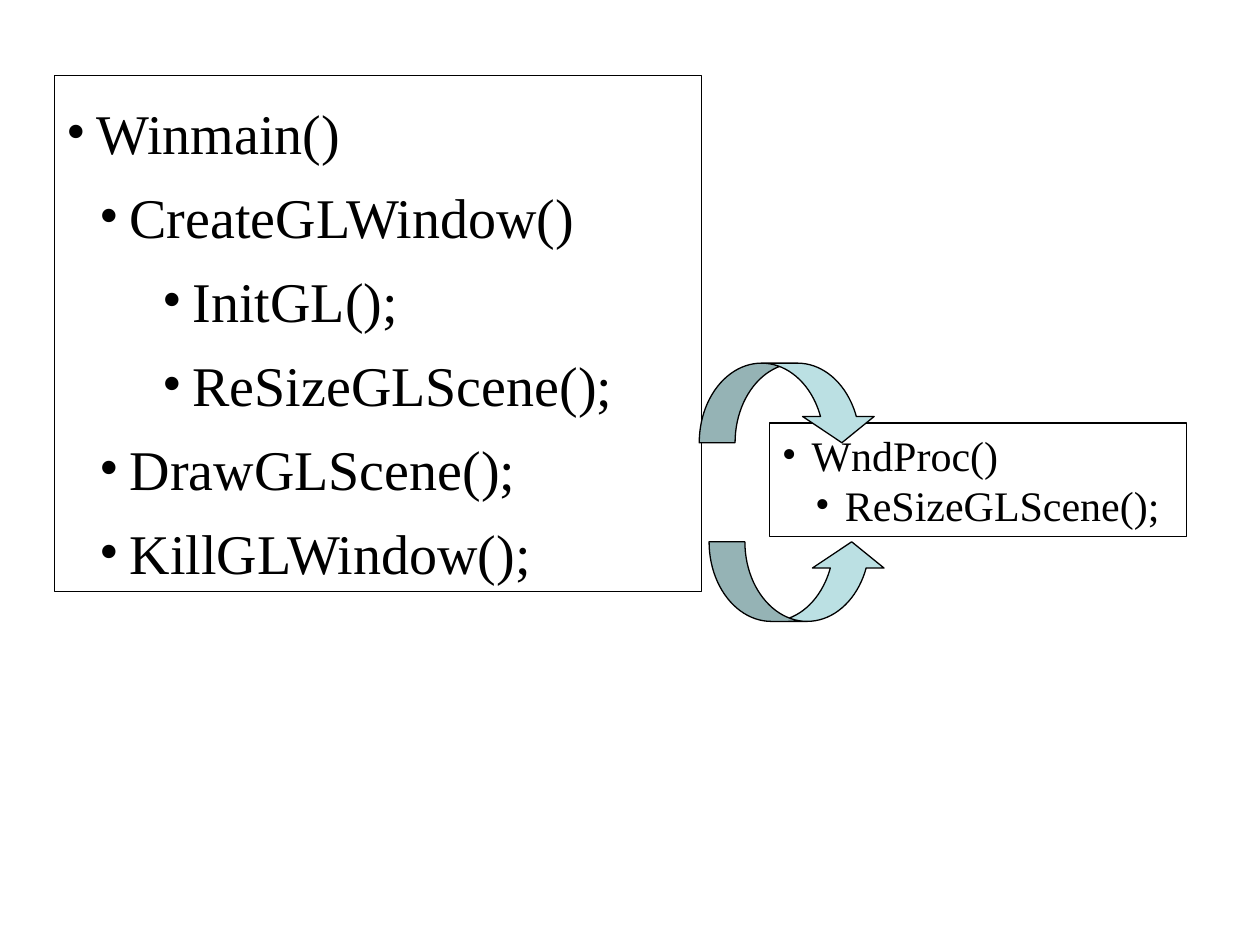
from dataclasses import dataclass

import pptx
import pptx.dml.color
import pptx.enum.shapes
import pptx.enum.text
import pptx.oxml
import pptx.oxml.ns
import pptx.slide
import pptx.util

Pt = pptx.util.Pt
RGBColor = pptx.dml.color.RGBColor
Preset = pptx.enum.shapes.MSO_SHAPE

BLACK = RGBColor(0x00, 0x00, 0x00)
PALE_TEAL = RGBColor(0xBB, 0xE0, 0xE3)
FONT = "Times New Roman"
OUTLINE = 0.75
HANGING = 17
LEVEL_MARGINS = (17, 36, 72)
ARROW_WIDTH, ARROW_HEIGHT = 102, 45.5
ARROW_PROPORTIONS = (0.45, 0.9, 0.33)


@dataclass
class Call:
    name: str
    level: int = 0


@dataclass
class CallBox:
    left: float
    top: float
    width: float
    height: float
    size: float
    line_height: float
    calls: tuple[Call, ...]


@dataclass
class CurvedArrow:
    preset: Preset
    left: float
    top: float


CALL_BOXES = (
    CallBox(31, 43, 370, 295.2, 32, 48, (
        Call("Winmain()"),
        Call("CreateGLWindow()", 1),
        Call("InitGL();", 2),
        Call("ReSizeGLScene();", 2),
        Call("DrawGLScene();", 1),
        Call("KillGLWindow();", 1),
    )),
    CallBox(439.7, 241.8, 238.5, 64.8, 24, 28.8, (
        Call("WndProc()"),
        Call("ReSizeGLScene();", 1),
    )),
)

ARROWS = (
    CurvedArrow(Preset.CURVED_DOWN_ARROW, 399.6, 207.5),
    CurvedArrow(Preset.CURVED_UP_ARROW, 405.2, 309.6),
)


def add_bullet(para, level: int) -> None:
    properties = para._p.get_or_add_pPr()
    properties.set("marL", str(Pt(LEVEL_MARGINS[level])))
    properties.set("indent", str(-Pt(HANGING)))
    namespace = pptx.oxml.ns.nsdecls("a")
    for markup in (
        f'<a:buClr {namespace}><a:srgbClr val="{BLACK}"/></a:buClr>',
        f'<a:buFont {namespace} typeface="{FONT}"/>',
        f'<a:buChar {namespace} char="•"/>',
    ):
        properties.append(pptx.oxml.parse_xml(markup))


def draw_call_box(page: pptx.slide.Slide, spec_box: CallBox) -> None:
    box = page.shapes.add_textbox(
        Pt(spec_box.left), Pt(spec_box.top), Pt(spec_box.width), Pt(spec_box.height)
    )
    box.line.color.rgb = BLACK
    box.line.width = Pt(OUTLINE)
    frame = box.text_frame
    frame.word_wrap = True
    frame.auto_size = pptx.enum.text.MSO_AUTO_SIZE.SHAPE_TO_FIT_TEXT
    for index, call in enumerate(spec_box.calls):
        para = frame.add_paragraph() if index else frame.paragraphs[0]
        para.level = call.level
        para.line_spacing = Pt(spec_box.line_height)
        add_bullet(para, call.level)
        span = para.add_run()
        span.text = call.name
        span.font.name = FONT
        span.font.size = Pt(spec_box.size)
        span.font.color.rgb = BLACK


def draw_arrow(page: pptx.slide.Slide, arrow: CurvedArrow) -> None:
    shape = page.shapes.add_shape(
        arrow.preset, Pt(arrow.left), Pt(arrow.top), Pt(ARROW_WIDTH), Pt(ARROW_HEIGHT)
    )
    for index, proportion in enumerate(ARROW_PROPORTIONS):
        shape.adjustments[index] = proportion
    shape.shadow.inherit = False
    shape.fill.solid()
    shape.fill.fore_color.rgb = PALE_TEAL
    shape.line.color.rgb = BLACK
    shape.line.width = Pt(OUTLINE)


def main() -> None:
    deck = pptx.Presentation()
    deck.slide_width, deck.slide_height = Pt(720), Pt(540)
    page = deck.slides.add_slide(deck.slide_layouts.get_by_name("Blank"))
    for call_box in CALL_BOXES:
        draw_call_box(page, call_box)
    for arrow in ARROWS:
        draw_arrow(page, arrow)
    deck.save("out.pptx")


if __name__ == "__main__":
    main()
